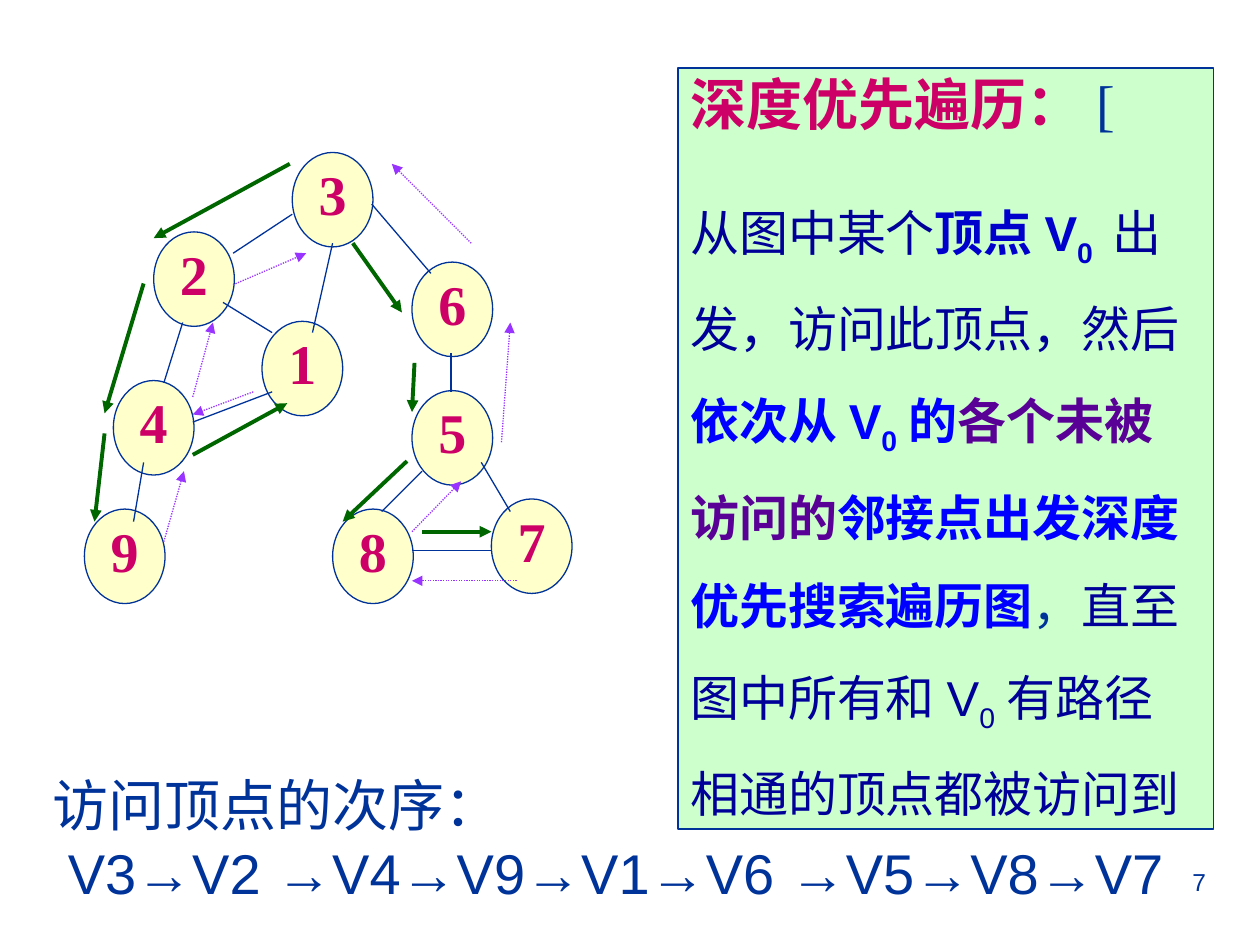
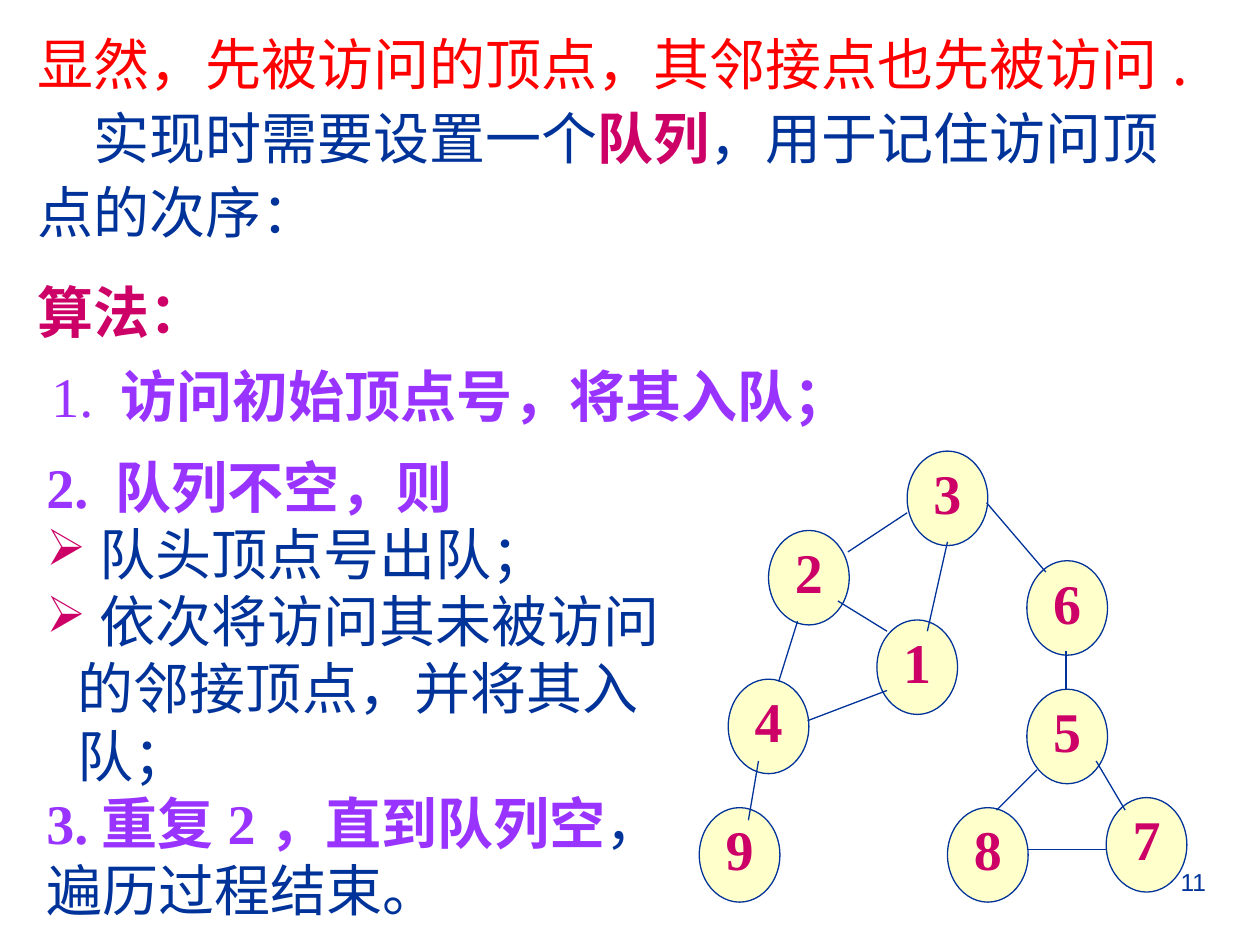
from dataclasses import dataclass

from lxml.etree import SubElement
from pptx import Presentation
from pptx.dml.color import RGBColor as RGB
from pptx.enum.dml import MSO_LINE_DASH_STYLE as Dash
from pptx.enum.shapes import MSO_CONNECTOR as Connector, MSO_SHAPE as Preset
from pptx.enum.text import MSO_ANCHOR as Anchor, PP_ALIGN as Align
from pptx.oxml.ns import qn
from pptx.util import Inches, Pt


@dataclass(frozen=True)
class Theme:
    navy: str = "003399"
    deep_blue: str = "000099"
    mid_blue: str = "0000CC"
    blue: str = "0000FF"
    indigo: str = "590096"
    violet: str = "9933FF"
    crimson: str = "CC0066"
    red: str = "FF0000"
    green: str = "006600"
    mint: str = "CCFFCC"
    cream: str = "FFFFCC"
    sans: str = "Arial"
    serif: str = "Times New Roman"
    chinese: str = "Noto Sans CJK SC"
    large: int = 32
    body: int = 28
    small: int = 14
    thin: float = 0.75
    thick: float = 2.25


theme = Theme()


def write(shape, paragraphs, font=theme.serif, size=theme.large):
    frame = shape.text_frame
    frame.word_wrap = True
    for position, (layout, runs) in enumerate(paragraphs):
        paragraph = frame.paragraphs[0] if position == 0 else frame.add_paragraph()
        properties = paragraph._p.get_or_add_pPr()
        properties.set("marL", str(Inches(layout.get("margin", 0))))
        properties.set("indent", str(Inches(layout.get("indent", 0))))
        if "bullet" in layout:
            bullet_color = SubElement(properties, qn("a:buClr"))
            SubElement(bullet_color, qn("a:srgbClr"), val=theme.crimson)
            SubElement(properties, qn("a:buSzPct"), val="90000")
            SubElement(properties, qn("a:buChar"), char=layout["bullet"])
        paragraph.alignment = layout.get("align", Align.LEFT)
        paragraph.line_spacing = layout.get("spacing", 1.0)
        if "before" in layout:
            paragraph.space_before = Pt(layout["before"])
        for text, color, *marks in runs:
            run = paragraph.add_run()
            run.text = text
            run.font.size = Pt(layout.get("size", size))
            run.font.bold = "bold" in marks
            run.font.color.rgb = RGB.from_string(color)
            run.font.name = layout.get("font", font)
            run_properties = run.font._element
            SubElement(run_properties, qn("a:ea"), typeface=theme.chinese)
            if "sub" in marks:
                run_properties.set("baseline", "-25000")


def draw_line(shapes, ends, color=theme.navy, width=theme.thin, arrow=False, dash=None):
    line = shapes.add_connector(Connector.STRAIGHT, *[Inches(v) for v in ends])
    line.line.color.rgb = RGB.from_string(color)
    line.line.width = Pt(width)
    if dash:
        line.line.dash_style = dash
    if arrow:
        SubElement(line.line._get_or_add_ln(), qn("a:tailEnd"), type="triangle")
    SubElement(line._element.spPr, qn("a:effectLst"))


vertices = {
    "3": (2.32, 1.21), "6": (3.27, 2.08), "7": (3.9, 3.96),
    "9": (0.67, 4.04), "8": (2.64, 4.04), "4": (0.9, 3.02),
    "1": (2.08, 2.55), "2": (1.22, 1.84), "5": (3.27, 3.1),
}
edges = [
    (2.32, 1.7, 1.85, 2.01), (2.64, 1.93, 2.48, 2.64), (1.77, 2.4, 2.16, 2.64),
    (1.45, 2.56, 1.3, 3.04), (1.14, 3.67, 1.06, 4.14), (2.16, 3.11, 1.53, 3.35),
    (2.95, 1.62, 3.42, 2.17), (3.58, 2.8, 3.58, 3.11), (3.35, 3.74, 3.03, 4.06),
    (3.27, 4.37, 3.9, 4.37), (3.82, 3.67, 4.05, 4.06),
]
forward_steps = [
    (2.3, 1.3, 1.22, 1.89), (1.14, 2.25, 0.83, 3.28), (0.83, 3.44, 0.75, 4.14),
    (1.53, 3.61, 2.28, 3.2), (2.8, 1.93, 3.19, 2.48), (3.29, 2.88, 3.27, 3.27),
    (3.23, 3.66, 2.72, 4.14), (3.35, 4.22, 3.9, 4.22),
]
backtracks = [
    (1.3, 4.3, 1.46, 3.74), (2.01, 3.11, 1.53, 3.29), (1.53, 3.15, 1.69, 2.56),
    (1.85, 2.26, 2.43, 2.01), (4.1, 4.61, 3.27, 4.61), (3.27, 4.22, 3.66, 3.82),
    (3.98, 3.51, 4.05, 2.56), (3.74, 1.93, 3.11, 1.3),
]

deck = Presentation()
deck.slide_width, deck.slide_height = Inches(10), Inches(7.5)

pages = []
for number, shift_x, shift_y in [("7", 0, 0), ("11", 4.88, 2.37)]:
    shapes = deck.slides.add_slide(deck.slide_layouts[6]).shapes
    pages.append(shapes)
    page_number = shapes.add_textbox(Inches(7.17), Inches(6.83), Inches(2.5), Inches(0.52))
    write(page_number, [({"align": Align.RIGHT}, [(number, theme.navy)])], theme.sans, theme.small)

    graph = shapes.add_group_shape().shapes
    for label, (x, y) in vertices.items():
        vertex = graph.add_shape(Preset.OVAL, Inches(x + shift_x), Inches(y + shift_y),
                                 Inches(0.64), Inches(0.75))
        vertex.shadow.inherit = False
        vertex.fill.solid()
        vertex.fill.fore_color.rgb = RGB.from_string(theme.cream)
        vertex.line.color.rgb = RGB.from_string(theme.navy)
        vertex.line.width = Pt(theme.thin)
        vertex.text_frame.vertical_anchor = Anchor.MIDDLE
        write(vertex, [({"align": Align.CENTER, "spacing": 0.8}, [(label, theme.crimson, "bold")])])
    for x1, y1, x2, y2 in edges:
        draw_line(graph, (x1 + shift_x, y1 + shift_y, x2 + shift_x, y2 + shift_y))

depth_first, breadth_first = pages

for step in forward_steps:
    draw_line(depth_first, step, theme.green, theme.thick, arrow=True)
for step in backtracks:
    draw_line(depth_first, step, theme.violet, arrow=True, dash=Dash.ROUND_DOT)

visit_order = depth_first.add_textbox(Inches(0.08), Inches(6.17), Inches(9.67), Inches(1.17))
write(visit_order, [
    ({"margin": 0.24, "spacing": 0.8}, [("访问顶点的次序：", theme.navy)]),
    ({"margin": 0.36, "spacing": 0.8, "before": 8},
     [("V3→V2 →V4→V9→V1→V6 →V5→V8→V7", theme.navy)]),
], theme.sans)

definition = depth_first.add_shape(Preset.RECTANGLE, Inches(5.38), Inches(0.54), Inches(4.25), Inches(6.04))
definition.shadow.inherit = False
definition.fill.solid()
definition.fill.fore_color.rgb = RGB.from_string(theme.mint)
definition.line.color.rgb = RGB.from_string(theme.navy)
definition.line.width = Pt(theme.thin)
definition.text_frame.vertical_anchor = Anchor.TOP
write(definition, [
    ({"spacing": 0.95}, [("深度优先遍历：", theme.crimson, "bold"), ("[", theme.navy)]),
    ({"spacing": 1.5, "before": 17.5, "font": theme.sans, "size": theme.body}, [
        ("从图中某个", theme.deep_blue),
        ("顶点V", theme.mid_blue, "bold"),
        ("0 ", theme.mid_blue, "bold", "sub"),
        ("出发，访问此顶点，然后", theme.deep_blue),
        ("依次从V", theme.blue, "bold"),
        ("0", theme.blue, "bold", "sub"),
        ("的", theme.blue, "bold"),
        ("各个未被访问的", theme.indigo, "bold"),
        ("邻接点出发深度优先搜索遍历图", theme.blue, "bold"),
        ("，", theme.navy),
        ("直至图中所有和V", theme.deep_blue),
        ("0", theme.deep_blue, "sub"),
        ("有路径相通的顶点都被访问到", theme.deep_blue),
    ]),
])

queue_idea = breadth_first.add_textbox(Inches(0.2), Inches(0.13), Inches(9.45), Inches(2.45))
write(queue_idea, [
    ({"spacing": 1.1, "font": theme.chinese},
     [("显然，先被访问的顶点，其邻接点也先被访问.", theme.red)]),
    ({"spacing": 1.1, "indent": 0.44}, [
        ("实现时需要设置一个", theme.navy),
        ("队列", theme.crimson, "bold"),
        ("，用于记住访问顶点的次序：", theme.navy),
    ]),
])

algorithm_start = breadth_first.add_textbox(Inches(0.2), Inches(2.02), Inches(8.66), Inches(1.43))
write(algorithm_start, [
    ({"spacing": 1.25, "font": theme.sans}, [("算法：", theme.crimson, "bold")]),
    ({"spacing": 1.25, "margin": 0.11},
     [("1. ", theme.violet), ("访问初始顶点号，将其入队；", theme.violet, "bold")]),
])

queue_loop = breadth_first.add_textbox(Inches(0.27), Inches(3.54), Inches(5.28), Inches(3.84))
bulleted = {"bullet": "➢", "margin": 0.25, "indent": -0.25}
write(queue_loop, [
    ({}, [("2. 队列不空，则", theme.violet, "bold")]),
    (bulleted, [(" 队头顶点号出队；", theme.navy)]),
    (bulleted, [(" 依次将访问其未被访问的邻接顶点，并将其入队；", theme.navy)]),
    ({}, [("3.重复2，直到队列空", theme.violet, "bold"), ("，遍历过程结束。", theme.navy)]),
])

deck.save("out.pptx")
